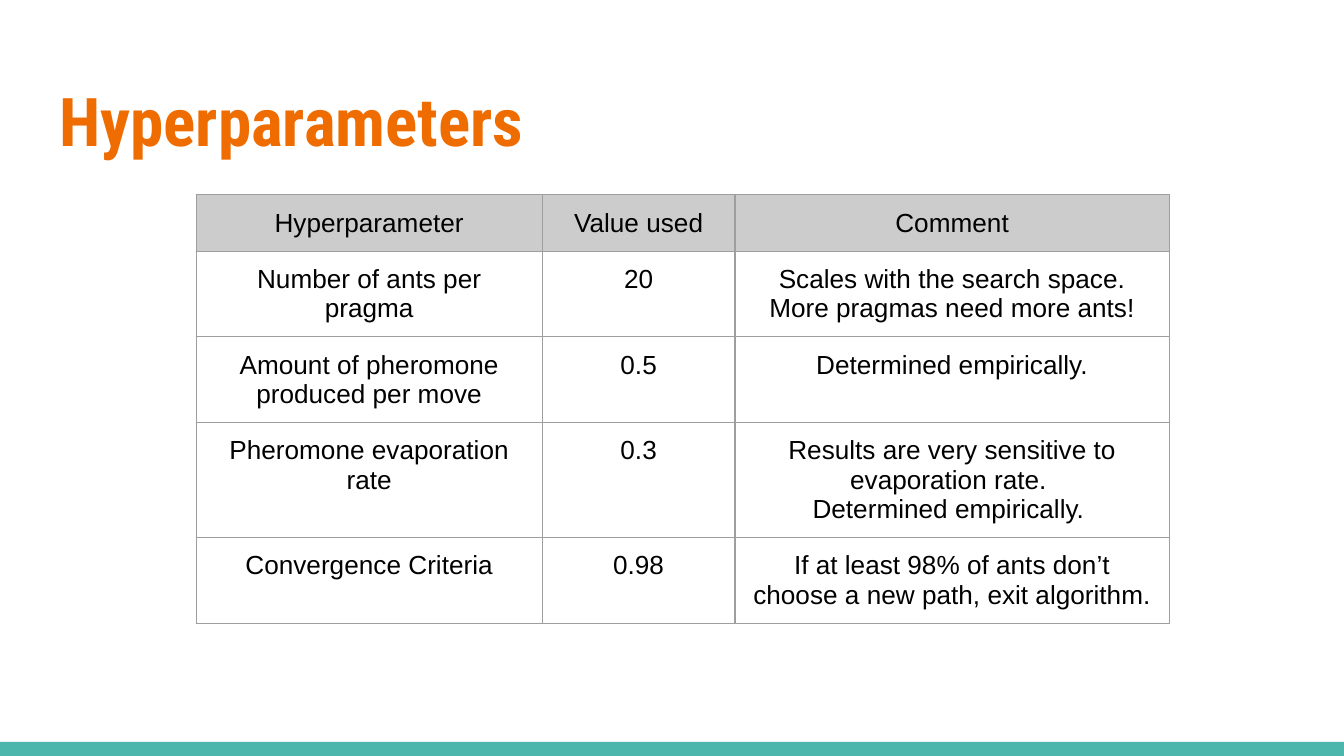
import dataclasses
import typing

import lxml.etree
import pptx
import pptx.dml.color
import pptx.enum.shapes
import pptx.enum.text
import pptx.oxml.ns
import pptx.util

PX = 4572
PAGE_WIDTH, PAGE_HEIGHT = 2000, 1125
BAR_HEIGHT = 21
COLORS = {
    "accent": "4DB6AC",
    "title": "EF6C00",
    "text": "000000",
    "header": "CCCCCC",
    "border": "9E9E9E",
}
COLUMN_WIDTHS = (515, 287, 646)
ROW_HEIGHT = 83
INSET = 20


@dataclasses.dataclass
class Row:
    name: str
    value: str
    comment: str
    fill: typing.Optional[str] = None


ROWS = [
    Row("Hyperparameter", "Value used", "Comment", "header"),
    Row("Number of ants per pragma", "20",
        "Scales with the search space. More pragmas need more ants!"),
    Row("Amount of pheromone produced per move", "0.5", "Determined empirically."),
    Row("Pheromone evaporation rate", "0.3",
        "Results are very sensitive to evaporation rate. \nDetermined empirically. "),
    Row("Convergence Criteria", "0.98",
        "If at least 98% of ants don’t choose a new path, exit algorithm."),
]


def px(length: int) -> pptx.util.Emu:
    return pptx.util.Emu(length * PX)


def color(name: str) -> pptx.dml.color.RGBColor:
    return pptx.dml.color.RGBColor.from_string(COLORS[name])


def set_font(paragraph, family: str, size: int, color_name: str, bold: bool = False) -> None:
    font = paragraph.font
    font.name = family
    font.size = pptx.util.Pt(size)
    font.bold = bold
    font.color.rgb = color(color_name)


def set_insets(area) -> None:
    area.margin_left = area.margin_right = px(INSET)
    area.margin_top = area.margin_bottom = px(INSET)


def add_borders(cell) -> None:
    qn = pptx.oxml.ns.qn
    properties = cell._tc.get_or_add_tcPr()
    for side in ("lnL", "lnR", "lnT", "lnB"):
        line = lxml.etree.SubElement(
            properties, qn(f"a:{side}"), w=str(pptx.util.Pt(0.75)))
        fill = lxml.etree.SubElement(line, qn("a:solidFill"))
        lxml.etree.SubElement(fill, qn("a:srgbClr"), val=COLORS["border"])


def draw_cell(cell, text: str, fill: typing.Optional[str]) -> None:
    cell.text = text
    set_insets(cell)
    add_borders(cell)
    if fill:
        cell.fill.solid()
        cell.fill.fore_color.rgb = color(fill)
    else:
        cell.fill.background()
    for paragraph in cell.text_frame.paragraphs:
        paragraph.alignment = pptx.enum.text.PP_ALIGN.CENTER
        set_font(paragraph, "Arial", 14, "text")


def draw_table(page) -> None:
    frame = page.shapes.add_table(
        len(ROWS), len(COLUMN_WIDTHS), px(292), px(290),
        px(sum(COLUMN_WIDTHS)), px(ROW_HEIGHT * len(ROWS)))
    table = frame.table
    table.first_row = table.horz_banding = False
    for column, width in zip(table.columns, COLUMN_WIDTHS):
        column.width = px(width)
    for table_row, row in zip(table.rows, ROWS):
        table_row.height = px(ROW_HEIGHT)
        for cell, text in zip(table_row.cells, (row.name, row.value, row.comment)):
            draw_cell(cell, text, row.fill)


def draw_title(page, text: str) -> None:
    title = page.shapes.title
    title.left, title.top, title.width, title.height = map(px, (68, 98, 1864, 154))
    frame = title.text_frame
    frame.text = text
    frame.word_wrap = True
    frame.auto_size = pptx.enum.text.MSO_AUTO_SIZE.NONE
    frame.vertical_anchor = pptx.enum.text.MSO_ANCHOR.TOP
    set_insets(frame)
    paragraph = frame.paragraphs[0]
    paragraph.alignment = pptx.enum.text.PP_ALIGN.LEFT
    set_font(paragraph, "Roboto Condensed", 36, "title", bold=True)


def draw_footer_bar(page) -> None:
    bar = page.shapes.add_shape(
        pptx.enum.shapes.MSO_SHAPE.RECTANGLE,
        px(0), px(PAGE_HEIGHT - BAR_HEIGHT), px(PAGE_WIDTH), px(BAR_HEIGHT))
    bar.shadow.inherit = False
    bar.fill.solid()
    bar.fill.fore_color.rgb = color("accent")
    bar.line.fill.background()


def main() -> None:
    deck = pptx.Presentation()
    deck.slide_width, deck.slide_height = px(PAGE_WIDTH), px(PAGE_HEIGHT)
    page = deck.slides.add_slide(deck.slide_layouts.get_by_name("Title Only"))
    draw_footer_bar(page)
    draw_title(page, "Hyperparameters")
    draw_table(page)
    deck.save("out.pptx")


if __name__ == "__main__":
    main()
